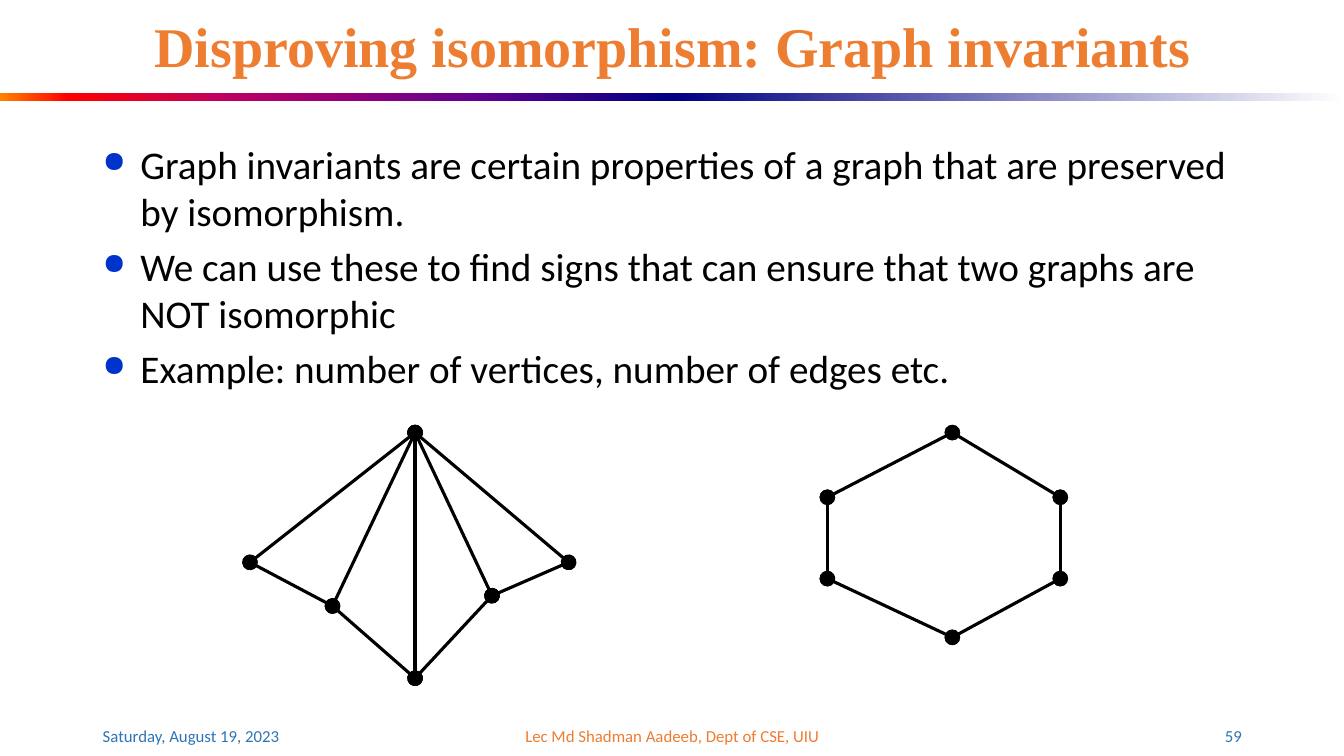
import lxml.etree
import pptx
import pptx.dml.color
import pptx.enum.shapes
import pptx.enum.text
import pptx.oxml
import pptx.oxml.ns
import pptx.util

Cm = pptx.util.Cm
Pt = pptx.util.Pt
ALIGN = pptx.enum.text.PP_ALIGN
MIDDLE = pptx.enum.text.MSO_ANCHOR.MIDDLE
qn = pptx.oxml.ns.qn

SLIDE_WIDTH, SLIDE_HEIGHT = 33.87, 19.05
MARGIN, CONTENT_WIDTH = 2.34, 29.21
ORANGE, BLUE, BLACK, BULLET_BLUE = "ED7D31", "2E75B6", "000000", "0033CC"

BULLETS = [
    "Graph invariants are certain properties of a graph that are preserved by isomorphism.",
    "We can use these to find signs that can ensure that two graphs are NOT isomorphic",
    "Example: number of vertices, number of edges etc.",
]

# Vertices are in cm from the top left corner of the graph's box.
FAN_VERTICES = {
    "apex": (4.16, 0), "left": (0, 3.27), "lower left": (2.08, 4.37),
    "bottom": (4.16, 6.19), "lower right": (6.1, 4.11), "right": (8.03, 3.27),
}
FAN_RIM = ["left", "lower left", "bottom", "lower right", "right"]
FAN_EDGES = [("apex", name) for name in FAN_RIM] + list(zip(FAN_RIM, FAN_RIM[1:]))

HEXAGON_VERTICES = {
    "top": (3.15, 0), "upper right": (5.87, 1.63), "lower right": (5.87, 3.68),
    "bottom": (3.15, 5.16), "lower left": (0, 3.68), "upper left": (0, 1.63),
}
HEXAGON_RIM = list(HEXAGON_VERTICES)
HEXAGON_EDGES = list(zip(HEXAGON_RIM, HEXAGON_RIM[1:] + HEXAGON_RIM[:1]))


def color(hex_string):
    return pptx.dml.color.RGBColor.from_string(hex_string)


def add_bullet(para):
    properties = para._p.get_or_add_pPr()
    properties.set("marL", str(Cm(0.95)))
    properties.set("indent", str(-Cm(0.95)))
    bullet_color = lxml.etree.SubElement(properties, qn("a:buClr"))
    lxml.etree.SubElement(bullet_color, qn("a:srgbClr"), val=BULLET_BLUE)
    lxml.etree.SubElement(properties, qn("a:buSzPct"), val="75000")
    lxml.etree.SubElement(properties, qn("a:buChar"), char="●")


def write_text(para, text, size=12, font="Calibri", fill=BLACK, bold=False,
               align=ALIGN.LEFT, bullet=False):
    if bullet:
        add_bullet(para)
    para.alignment = align
    span = para.add_run()
    span.text = text
    span.font.size = Pt(size)
    span.font.name = font
    span.font.bold = bold
    span.font.color.rgb = color(fill)


def add_title(page, left, top, width, height):
    title = page.shapes.title
    title.left, title.top, title.width, title.height = map(Cm, (left, top, width, height))
    title.text_frame.vertical_anchor = MIDDLE
    para = title.text_frame.paragraphs[0]
    para.line_spacing = 0.9
    write_text(para, "Disproving isomorphism: Graph invariants", size=40,
               font="Times New Roman", fill=ORANGE, bold=True, align=ALIGN.CENTER)


def add_gradient_bar(page, left, top, width, height, stops):
    """Stops are pairs of a percentage and a colour, from left to right."""
    bar = page.shapes.add_shape(pptx.enum.shapes.MSO_SHAPE.RECTANGLE,
                                Cm(left), Cm(top), Cm(width), Cm(height))
    bar.shadow.inherit = False
    bar.line.fill.background()
    bar.fill.gradient()
    bar.fill.gradient_angle = 0
    stop_list = bar._element.spPr.find(".//" + qn("a:gsLst"))
    for stop in list(stop_list):
        stop_list.remove(stop)
    for percent, hex_string in stops:
        stop = lxml.etree.SubElement(stop_list, qn("a:gs"), pos=str(percent * 1000))
        lxml.etree.SubElement(stop, qn("a:srgbClr"), val=hex_string)


def add_divider(page, left, top, width, height):
    half = width / 2
    rainbow = [(0, "FF8200"), (10, "FF0000"), (35, "BA0066"), (70, "66008F"), (100, "000082")]
    fade = [(0, "000082"), (100, "FFFFFF")]
    add_gradient_bar(page, left, top, half, height, rainbow)
    add_gradient_bar(page, left + half, top, half, height, fade)


def add_text_frame(page, left, top, width, height):
    box = page.shapes.add_textbox(Cm(left), Cm(top), Cm(width), Cm(height))
    box.text_frame.word_wrap = True
    return box.text_frame


def add_body(page, left, top, width, height):
    frame = add_text_frame(page, left, top, width, height)
    for index, text in enumerate(BULLETS):
        para = frame.add_paragraph() if index else frame.paragraphs[0]
        write_text(para, text, size=28, bullet=True)
        if index:
            para.space_before = Pt(5.6)


def add_footer(page, left, top, width, height):
    side, middle = 7.62, 11.43
    parts = [
        (0, side, "Saturday, August 19, 2023", BLUE, ALIGN.LEFT),
        ((width - middle) / 2, middle, "Lec Md Shadman Aadeeb, Dept of CSE, UIU",
         ORANGE, ALIGN.CENTER),
        (width - side, side, "59", BLUE, ALIGN.RIGHT),
    ]
    for offset, part_width, text, fill, align in parts:
        frame = add_text_frame(page, left + offset, top, part_width, height)
        frame.vertical_anchor = MIDDLE
        write_text(frame.paragraphs[0], text, fill=fill, align=align)


def add_graph(page, left, top, vertices, edges):
    """Draw each edge as a line whose round ends form the vertices."""
    for start, end in edges:
        points = [Cm(origin + offset) for name in (start, end)
                  for origin, offset in zip((left, top), vertices[name])]
        edge = page.shapes.add_connector(pptx.enum.shapes.MSO_CONNECTOR.STRAIGHT, *points)
        edge.line.color.rgb = color(BLACK)
        edge.line.width = Pt(2.25)
        outline = edge.line._get_or_add_ln()
        for tag in ("a:headEnd", "a:tailEnd"):
            lxml.etree.SubElement(outline, qn(tag), type="oval", w="lg", len="lg")
        lxml.etree.SubElement(edge._element.spPr, qn("a:effectLst"))


def main():
    deck = pptx.Presentation()
    deck.slide_width, deck.slide_height = Cm(SLIDE_WIDTH), Cm(SLIDE_HEIGHT)
    page = deck.slides.add_slide(deck.slide_layouts.get_by_name("Title Only"))
    add_divider(page, 0, 2.34, SLIDE_WIDTH, 0.2)
    add_title(page, MARGIN, 0.41, CONTENT_WIDTH, 1.68)
    add_body(page, MARGIN, 3.4, CONTENT_WIDTH, 13.74)
    add_footer(page, MARGIN, 18.03, CONTENT_WIDTH, 1.02)
    add_graph(page, 6.3, 10.9, FAN_VERTICES, FAN_EDGES)
    add_graph(page, 20.85, 10.9, HEXAGON_VERTICES, HEXAGON_EDGES)
    deck.save("out.pptx")


if __name__ == "__main__":
    main()
